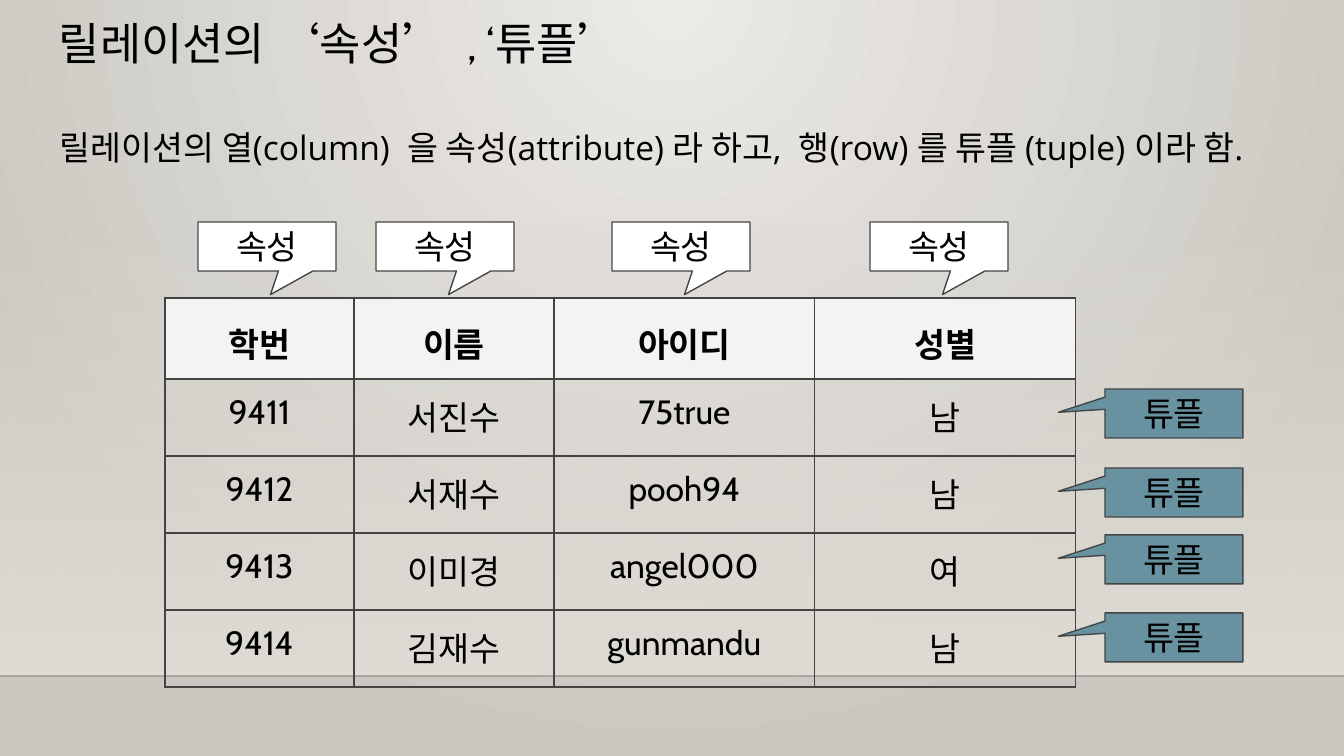
from lxml.etree import SubElement
from pptx import Presentation
from pptx.dml.color import RGBColor
from pptx.enum.shapes import MSO_CONNECTOR, MSO_SHAPE
from pptx.enum.text import MSO_ANCHOR, PP_ALIGN
from pptx.oxml import parse_xml
from pptx.oxml.ns import nsdecls, qn
from pptx.util import Emu, Pt

PX = 914400 / 134.4
COLORS = {
    "text": "000000", "center": "ECEAE7", "edge": "CAC7C1", "wall": "DFDBD5",
    "floor": "000001", "border": "434343", "outline": "454545",
    "header": "F3F3F3", "attribute": "FFFFFF", "tuple": "6892A0",
}
TITLE = "릴레이션의 ‘속성’  , ‘튜플’"
DEFINITION = ("릴레이션의 열(column)  을 속성(attribute) 라 하고,  "
              "행(row) 를 튜플 (tuple) 이라 함.")
RELATION = [
    ("학번", "이름", "아이디", "성별"),
    ("9411", "서진수", "75true", "남"),
    ("9412", "서재수", "pooh94", "남"),
    ("9413", "이미경", "angel000", "여"),
    ("9414", "김재수", "gunmandu", "남"),
]
COLUMN_WIDTHS = (189, 200, 261, 261)
HEADER_HEIGHT, ROW_HEIGHT = 81, 77
# label, fill, tip offset as a share of the size, top-left corners
CALLOUTS = [
    ("속성", "attribute", (0.026, 0.982), [(x, 222) for x in (198, 376, 612, 870)]),
    ("튜플", "tuple", (-0.838, -0.023), [(1105, y) for y in (389, 468, 535, 613)]),
]


def px(*lengths):
    return [Emu(round(length * PX)) for length in lengths]


def rgb(name):
    return RGBColor.from_string(COLORS[name])


def set_gradient(element, stops, direction):
    """Replace the first solid fill with (position, color, alpha) stops."""
    marks = "".join(
        f'<a:gs pos="{pos * 1000}"><a:srgbClr val="{COLORS[color]}">'
        f'<a:alpha val="{alpha * 1000}"/></a:srgbClr></a:gs>'
        for pos, color, alpha in stops)
    solid = next(element.iter(qn("a:solidFill")))
    solid.getparent().replace(solid, parse_xml(
        f'<a:gradFill {nsdecls("a")} rotWithShape="1"><a:gsLst>{marks}</a:gsLst>'
        f'{direction}</a:gradFill>'))


def write(frame, text, size=18, font="Cabin", align=None, bold=False, spacing=None):
    frame.word_wrap = True
    frame.margin_left, frame.margin_top, frame.margin_right, frame.margin_bottom = px(*[13] * 4)
    frame.text = text
    paragraph = frame.paragraphs[0]
    paragraph.alignment = align
    paragraph.line_spacing = spacing
    paragraph.font.size = Pt(size)
    paragraph.font.name = font
    paragraph.font.bold = bold
    paragraph.font.color.rgb = rgb("text")


def add_borders(cell):
    properties = cell._tc.get_or_add_tcPr()
    for index, side in enumerate(("lnL", "lnR", "lnT", "lnB")):
        properties.insert(index, parse_xml(
            f'<a:{side} {nsdecls("a")} w="9525"><a:solidFill>'
            f'<a:srgbClr val="{COLORS["border"]}"/></a:solidFill></a:{side}>'))


def add_room(slide):
    slide.background.fill.solid()
    set_gradient(slide.element, [(0, "center", 100), (100, "edge", 100)],
                 '<a:path path="circle"><a:fillToRect l="43000" r="43000" b="100000"/></a:path>')
    wall = slide.shapes.add_shape(MSO_SHAPE.RECTANGLE, *px(0, 223, 1344, 453))
    wall.shadow.inherit = False
    wall.line.fill.background()
    wall.fill.solid()
    set_gradient(wall._element, [(0, "wall", 0), (100, "wall", 100)],
                 '<a:lin ang="5400000" scaled="0"/>')
    floor = slide.shapes.add_connector(MSO_CONNECTOR.STRAIGHT, *px(0, 676, 1344, 676))
    floor.line.width = Pt(1)
    floor.line.color.rgb = rgb("floor")
    color = next(floor._element.spPr.iter(qn("a:srgbClr")))
    SubElement(color, qn("a:alpha")).set("val", "20000")
    SubElement(floor._element.spPr, qn("a:effectLst"))


def add_relation(slide):
    heights = [HEADER_HEIGHT] + [ROW_HEIGHT] * (len(RELATION) - 1)
    table = slide.shapes.add_table(
        len(RELATION), len(COLUMN_WIDTHS),
        *px(165, 298, sum(COLUMN_WIDTHS), sum(heights))).table
    for column, width in zip(table.columns, px(*COLUMN_WIDTHS)):
        column.width = width
    for row, height, values in zip(table.rows, px(*heights), RELATION):
        row.height = height
        header = values is RELATION[0]
        for cell, value in zip(row.cells, values):
            write(cell.text_frame, value, align=PP_ALIGN.CENTER, bold=header,
                  spacing=1.15 if header else None)
            cell.margin_left, cell.margin_top, cell.margin_right, cell.margin_bottom = px(*[13] * 4)
            if header:
                cell.fill.solid()
                cell.fill.fore_color.rgb = rgb("header")
            else:
                cell.fill.background()
            add_borders(cell)


def add_callout(slide, label, color, tip, corner):
    callout = slide.shapes.add_shape(
        MSO_SHAPE.ROUNDED_RECTANGULAR_CALLOUT, *px(*corner, 138, 49))
    for index, value in enumerate((*tip, 0)):
        callout.adjustments[index] = value
    callout.shadow.inherit = False
    callout.fill.solid()
    callout.fill.fore_color.rgb = rgb(color)
    callout.line.color.rgb = rgb("outline")
    callout.line.width = Pt(0.75)
    write(callout.text_frame, label, align=PP_ALIGN.CENTER)
    callout.text_frame.vertical_anchor = MSO_ANCHOR.MIDDLE


def main():
    presentation = Presentation()
    presentation.slide_width, presentation.slide_height = px(1344, 756)
    slide = presentation.slides.add_slide(presentation.slide_layouts[6])
    add_room(slide)
    title = slide.shapes.add_textbox(*px(46, 9, 1253, 103))
    write(title.text_frame, TITLE, size=24, spacing=0.9)
    add_relation(slide)
    for label, color, tip, corners in CALLOUTS:
        for corner in corners:
            add_callout(slide, label, color, tip, corner)
    definition = slide.shapes.add_textbox(*px(47, 114, 1279, 79))
    write(definition.text_frame, DEFINITION, font="Open Sans")
    presentation.save("out.pptx")


if __name__ == "__main__":
    main()
